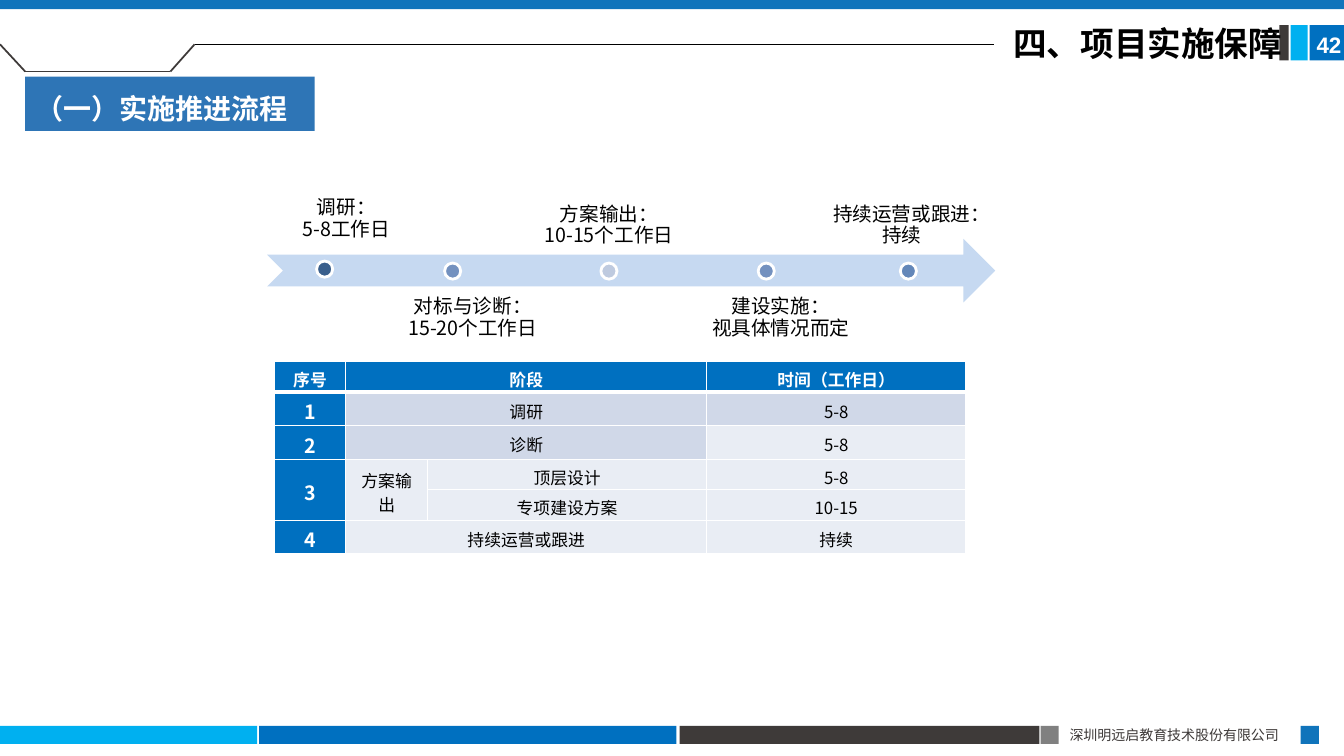
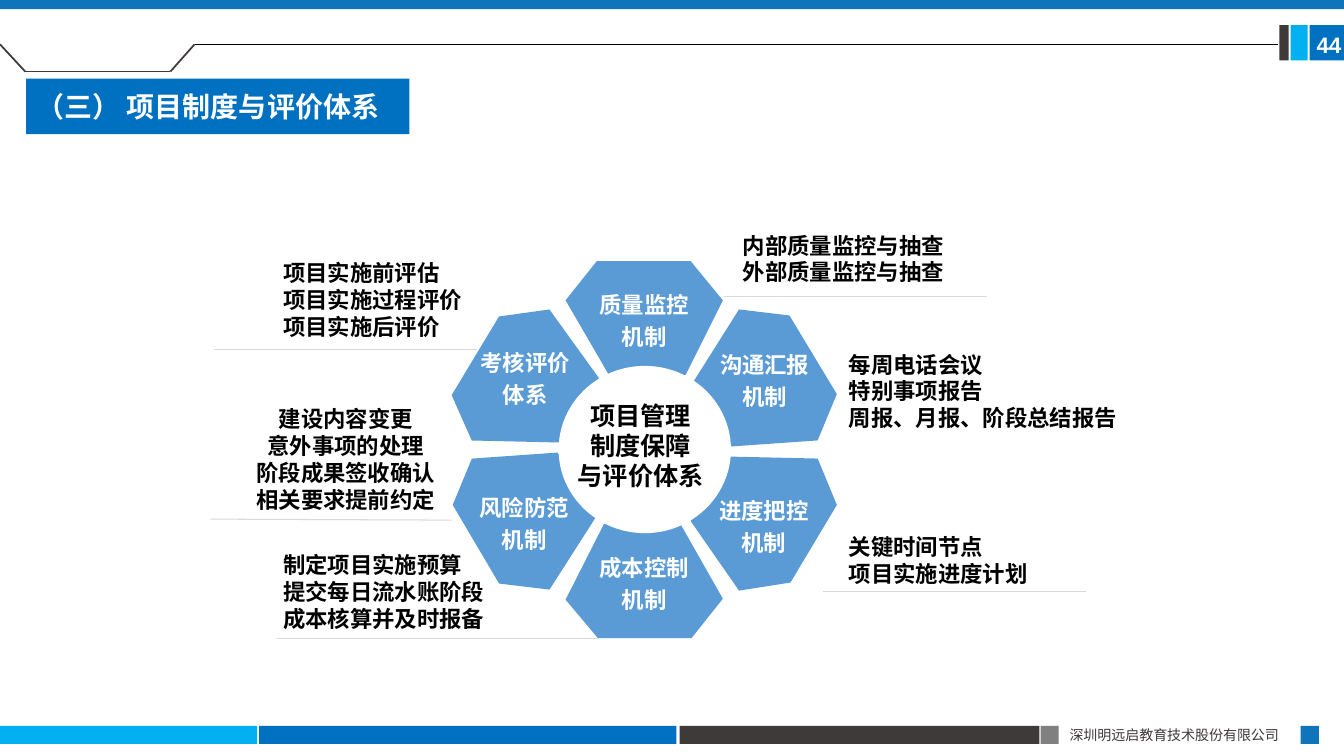
from lxml.etree import SubElement
from pptx import Presentation
from pptx.dml.color import RGBColor
from pptx.enum.shapes import MSO_CONNECTOR as Connector, MSO_SHAPE as Preset
from pptx.enum.text import MSO_ANCHOR as Anchor, MSO_AUTO_SIZE as AutoSize, PP_ALIGN as Align
from pptx.oxml.ns import qn
from pptx.util import Inches, Pt

FONT = "Noto Sans CJK SC"
COLOURS = {
    "white": "FFFFFF", "black": "000000", "dark": "3E3A39", "grey": "808080",
    "rule": "D9D9D9", "blue": "0070C0", "cyan": "00B0F0", "band": "1074BB",
    "banner": "2E75B6", "petal": "5B9BD5", "arrow": "C6D9F1",
    "cell": "E9EDF4", "cell_dark": "D0D8E8",
    "dot_navy": "3A5F8C", "dot_mid": "7391BF", "dot_pale": "BECADF", "dot_last": "6387B9",
}
FRAME_BARS = [
    ((0, 7.2, 2.55, 0.18), "cyan"), ((2.57, 7.2, 4.14, 0.18), "blue"),
    ((6.74, 7.2, 3.57, 0.18), "dark"), ((10.32, 7.2, 0.18, 0.18), "grey"),
    ((12.9, 7.2, 0.18, 0.18), "band"), ((12.99, 0.25, 0.35, 0.35), "blue"),
    ((12.8, 0.25, 0.17, 0.35), "cyan"), ((12.69, 0.25, 0.09, 0.35), "dark"),
    ((0, 0, 13.33, 0.09), "band"),
]
FRAME_CORNER = [(0, 0.44), (0.25, 0.71), (1.69, 0.71), (1.93, 0.44)]
MILESTONES = [
    ((2.65, 1.91, 1.57, 0.56), Anchor.BOTTOM, ["调研：", "5-8工作日"], 3.14, 2.59, "dot_navy"),
    ((3.91, 2.92, 1.56, 0.63), Anchor.TOP, ["对标与诊断：", "15-20个工作日"], 4.41, 2.61, "dot_mid"),
    ((5.28, 1.9, 1.52, 0.63), Anchor.BOTTOM, ["方案输出：", "10-15个工作日"], 5.96, 2.61, "dot_pale"),
    ((6.87, 2.92, 1.75, 0.63), Anchor.TOP, ["建设实施：", "视具体情况而定"], 7.52, 2.61, "dot_mid"),
    ((8.16, 1.9, 1.57, 0.63), Anchor.BOTTOM, ["持续运营或跟进：", "持续"], 8.93, 2.61, "dot_last"),
]
COLUMN_WIDTHS = [0.71, 0.81, 2.77, 2.57]
ROW_HEIGHTS = [0.3, 0.33, 0.34, 0.3, 0.3, 0.33]
STAGES = [
    ["序号", "阶段", "", "时间（工作日）"],
    ["1", "调研", "", "5-8"],
    ["2", "诊断", "", "5-8"],
    ["3", "方案输出", "顶层设计", "5-8"],
    ["", "", "专项建设方案", "10-15"],
    ["4", "持续运营或跟进", "", "持续"],
]
MERGES = [((row, 1), (row, 2)) for row in (0, 1, 2, 5)] + [((3, 0), (4, 0)), ((3, 1), (4, 1))]
DARK_CELLS = {(1, 1), (1, 2), (1, 3), (2, 1), (2, 2)}
PETALS = [
    (["质量监控", "机制"],
     [(5.92, 2.59), (6.85, 2.59), (7.17, 2.98), (6.8, 3.72), (6.04, 3.72), (5.61, 2.98)]),
    (["沟通汇报", "机制"],
     [(7.33, 3.07), (7.83, 3.13), (8.3, 3.91), (8.11, 4.37), (7.25, 4.43), (6.87, 3.8)]),
    (["进度把控", "机制"],
     [(7.23, 4.53), (8.11, 4.55), (8.3, 5.01), (7.84, 5.78), (7.33, 5.86), (6.85, 5.17)]),
    (["成本控制", "机制"],
     [(5.99, 5.2), (6.75, 5.2), (7.17, 5.94), (6.86, 6.33), (5.93, 6.33), (5.61, 5.95)]),
    (["风险防范", "机制"],
     [(5.53, 4.49), (5.91, 5.13), (5.45, 5.85), (4.95, 5.79), (4.49, 5.01), (4.68, 4.55)]),
    (["考核评价", "体系"],
     [(5.45, 3.07), (5.94, 3.75), (5.56, 4.39), (4.68, 4.37), (4.48, 3.92), (4.95, 3.14)]),
]
DETAILS = [
    ((7.27, 2.25, 2.29, 0.94), Align.LEFT, ["内部质量监控与抽查", "外部质量监控与抽查"]),
    ((8.32, 3.43, 2.88, 1.18), Align.LEFT, ["每周电话会议", "特别事项报告", "周报、月报、阶段总结报告"]),
    ((8.32, 5.24, 2, 0.91), Align.LEFT, ["关键时间节点", "项目实施进度计划"]),
    ((2.43, 3.97, 2, 1.45), Align.CENTER,
     ["建设内容变更", "意外事项的处理", "阶段成果签收确认", "相关要求提前约定"]),
    ((2.71, 5.42, 2.22, 0.91), Align.LEFT,
     ["制定项目实施预算", "提交每日流水账阶段", "成本核算并及时报备"]),
    ((2.71, 2.52, 2, 1.18), Align.LEFT, ["项目实施前评估", "项目实施过程评价", "项目实施后评价"]),
]
DETAIL_RULES = [
    ((7.18, 2.94), (9.79, 2.94)), ((8.16, 5.87), (10.77, 5.87)), ((2.09, 5.15), (4.48, 5.16)),
    ((2.75, 6.33), (5.93, 6.33)), ((2.12, 3.47), (4.73, 3.47)),
]


def colour(name):
    """Return the named colour."""
    return RGBColor.from_string(COLOURS[name])


def inches(values):
    """Convert a sequence of numbers to lengths."""
    return [Inches(value) for value in values]


def write_text(text_frame, lines, size, ink="black", bold=False, align=Align.LEFT,
               spacing=None, after=None, font=FONT):
    """Fill a text frame with one paragraph per line and format its runs."""
    text_frame.text = "\n".join(lines)
    for paragraph in text_frame.paragraphs:
        paragraph.alignment = align
        paragraph.line_spacing = spacing
        paragraph.space_after = after
        for run in paragraph.runs:
            run.font.size, run.font.bold, run.font.name = Pt(size), bold, font
            run.font.color.rgb = colour(ink)
            SubElement(run._r.get_or_add_rPr(), qn("a:ea"), typeface=FONT)


def paint(shape, fill):
    """Give a shape a plain fill with no line or shadow."""
    shape.shadow.inherit = False
    shape.fill.solid()
    shape.fill.fore_color.rgb = colour(fill)
    shape.line.fill.background()


def add_block(slide, box, fill, preset=Preset.RECTANGLE):
    """Add a plain filled preset shape."""
    shape = slide.shapes.add_shape(preset, *inches(box))
    paint(shape, fill)
    return shape


def add_label(slide, box, lines, size, anchor=Anchor.TOP, inset=None, **style):
    """Add a wrapping text box."""
    text_frame = slide.shapes.add_textbox(*inches(box)).text_frame
    text_frame.word_wrap = True
    text_frame.vertical_anchor = anchor
    if inset is not None:
        text_frame.margin_left = text_frame.margin_right = Inches(inset)
        text_frame.margin_top = text_frame.margin_bottom = Inches(inset)
    write_text(text_frame, lines, size, **style)


def add_rule(slide, start, end, ink, width):
    """Add a straight line without a shadow."""
    connector = slide.shapes.add_connector(Connector.STRAIGHT, *inches(start + end))
    connector.line.color.rgb = colour(ink)
    connector.line.width = Pt(width)
    SubElement(connector.element.spPr, qn("a:effectLst"))


def add_frame(slide, layout):
    """Draw the shared bands and footer and place them on the layout."""
    for box, fill in FRAME_BARS:
        add_block(slide, box, fill)
    add_label(slide, (10.51, 7.16, 2.4, 0.27), ["深圳明远启教育技术股份有限公司"], 10, ink="dark")
    for start, end in zip(FRAME_CORNER, FRAME_CORNER[1:]):
        add_rule(slide, start, end, "dark", 1.25)
    for shape in list(slide.shapes):
        if not shape.is_placeholder:
            layout.shapes.element.append(shape.element)


def add_header(slide, number, rule_end):
    """Add the page number and the header line."""
    add_label(slide, (12.96, 0.26, 0.5, 0.37), [number], 16, ink="white", bold=True, font="Arial")
    add_rule(slide, FRAME_CORNER[-1], (rule_end, 0.44), "black", 0.5)


def set_title(slide, box, text, size, **style):
    """Place and format the title placeholder."""
    title = slide.shapes.title
    title.left, title.top, title.width, title.height = inches(box)
    title.text_frame.auto_size = AutoSize.NONE
    title.text_frame.vertical_anchor = Anchor.MIDDLE
    write_text(title.text_frame, [text], size, bold=True, **style)
    return title


def add_timeline(slide):
    """Add the arrow with its milestones."""
    add_block(slide, (2.65, 2.37, 7.22, 0.63), "arrow", Preset.NOTCHED_RIGHT_ARROW)
    for box, anchor, lines, left, top, fill in MILESTONES:
        add_label(slide, box, lines, 14, anchor, 0.08, align=Align.CENTER,
                  spacing=Pt(10.8), after=Pt(4.9))
        dot = add_block(slide, (left, top, 0.16, 0.16), fill, Preset.OVAL)
        dot.line.color.rgb = colour("white")
        dot.line.width = Pt(2)


def set_borders(cell, top, bottom):
    """Draw white cell borders with the given top and bottom widths."""
    properties = cell._tc.get_or_add_tcPr()
    for side, width in (("L", 1), ("R", 1), ("T", top), ("B", bottom)):
        line = SubElement(properties, qn(f"a:ln{side}"), w=str(Pt(width)))
        fill = SubElement(line, qn("a:solidFill"))
        SubElement(fill, qn("a:srgbClr"), val=COLOURS["white"])


def format_cell(cell, row, column, text):
    """Fill one cell of the stage table."""
    heading = row == 0 or column == 0
    fill = "blue" if heading else "cell_dark" if (row, column) in DARK_CELLS else "cell"
    set_borders(cell, 3 if row == 1 else 1, 3 if row == 0 else 1)
    cell.fill.solid()
    cell.fill.fore_color.rgb = colour(fill)
    cell.vertical_anchor = Anchor.MIDDLE
    cell.margin_top, cell.margin_bottom = Inches(0.04), 0
    if text:
        write_text(cell.text_frame, [text], 14 if row and column == 0 else 12,
                   ink="white" if heading else "black", bold=heading, align=Align.CENTER)


def add_stage_table(slide):
    """Add the table of stages and working days."""
    box = inches((2.72, 3.59, sum(COLUMN_WIDTHS), sum(ROW_HEIGHTS)))
    table = slide.shapes.add_table(len(STAGES), len(COLUMN_WIDTHS), *box).table
    for column, width in zip(table.columns, COLUMN_WIDTHS):
        column.width = Inches(width)
    for row, height in zip(table.rows, ROW_HEIGHTS):
        row.height = Inches(height)
    for first, last in MERGES:
        table.cell(*first).merge(table.cell(*last))
    for row, texts in enumerate(STAGES):
        for column, text in enumerate(texts):
            format_cell(table.cell(row, column), row, column, text)


def add_petal(slide, lines, points):
    """Add one labelled petal of the ring."""
    start, *others = [tuple(inches(point)) for point in points]
    builder = slide.shapes.build_freeform(*start, scale=1.0)
    builder.add_line_segments(others, close=True)
    petal = builder.convert_to_shape()
    paint(petal, "petal")
    petal.text_frame.word_wrap = True
    petal.text_frame.vertical_anchor = Anchor.MIDDLE
    write_text(petal.text_frame, lines, 16, "white", True, Align.CENTER, 1.2)


def add_ring(slide):
    """Add the petals, the centre and the surrounding details."""
    for lines, points in PETALS:
        add_petal(slide, lines, points)
    add_block(slide, (5.54, 3.63, 1.71, 1.66), "white", Preset.OVAL)
    add_label(slide, (5.44, 3.92, 1.83, 1.09), ["项目管理", "制度保障", "与评价体系"], 18,
              bold=True, align=Align.CENTER)
    for start, end in DETAIL_RULES:
        add_rule(slide, start, end, "rule", 0.75)
    for box, align, lines in DETAILS:
        add_label(slide, box, lines, 16, bold=True, align=align)


def build_process_slide(slide):
    """Build the implementation process slide."""
    add_header(slide, "42", 9.86)
    set_title(slide, (9.95, 0.2, 3.03, 0.5), "四、项目实施保障", 24, spacing=0.9)
    add_stage_table(slide)
    add_timeline(slide)
    banner = add_block(slide, (0.25, 0.76, 2.87, 0.54), "banner")
    banner.text_frame.vertical_anchor = Anchor.TOP
    write_text(banner.text_frame, ["（一）实施推进流程"], 20, "white", True, spacing=1.3)


def build_system_slide(slide):
    """Build the management and evaluation system slide."""
    add_header(slide, "44", 12.68)
    title = set_title(slide, (0.26, 0.78, 3.8, 0.55), "（三） 项目制度与评价体系", 20,
                      ink="white", font="Calibri")
    title.fill.solid()
    title.fill.fore_color.rgb = colour("blue")
    add_ring(slide)


def main():
    """Build and save the presentation."""
    presentation = Presentation()
    presentation.slide_width, presentation.slide_height = inches((13.33, 7.5))
    layout = presentation.slide_layouts[5]
    process_slide, system_slide = [presentation.slides.add_slide(layout) for _ in range(2)]
    add_frame(process_slide, layout)
    build_process_slide(process_slide)
    build_system_slide(system_slide)
    presentation.save("out.pptx")


if __name__ == "__main__":
    main()
